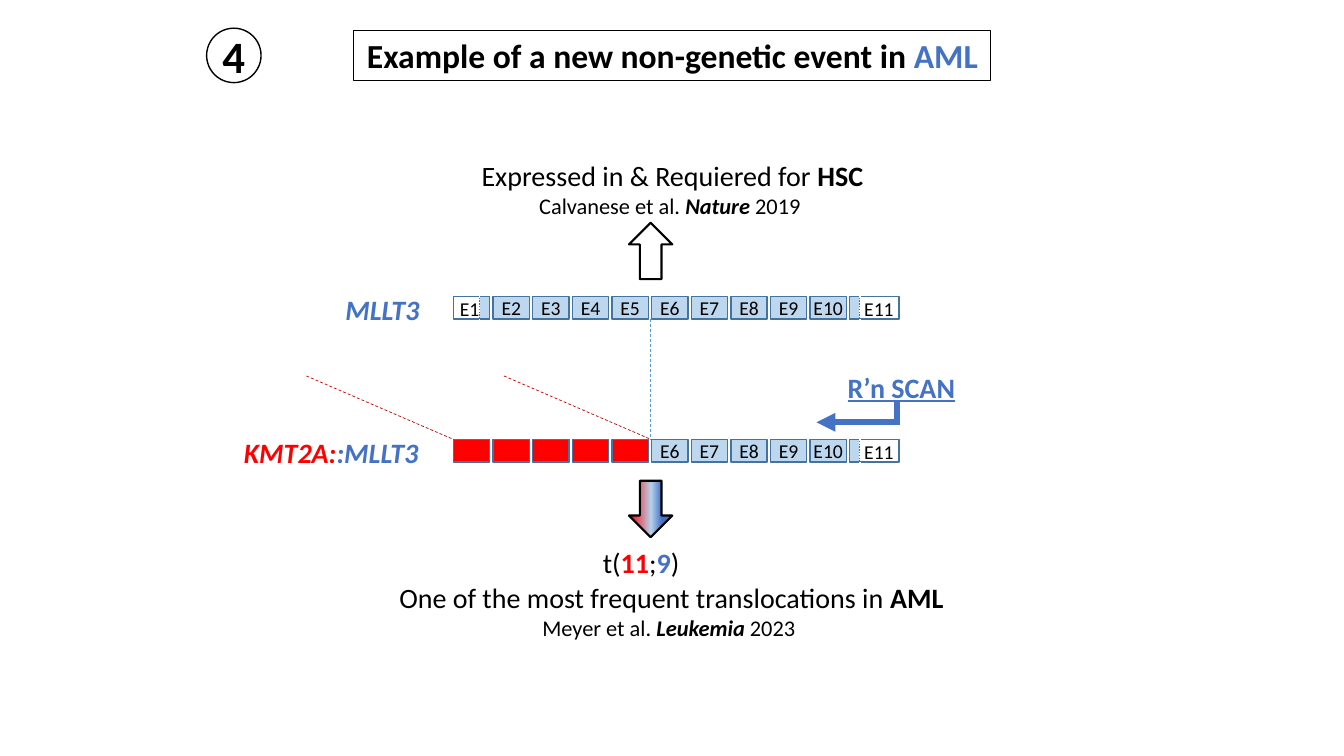
from lxml import etree
from pptx import Presentation
from pptx.dml.color import RGBColor
from pptx.enum.dml import MSO_LINE
from pptx.enum.shapes import MSO_CONNECTOR, MSO_SHAPE
from pptx.enum.text import MSO_ANCHOR, MSO_AUTO_SIZE, PP_ALIGN
from pptx.oxml.ns import qn
from pptx.util import Inches, Pt

BLACK = RGBColor(0x00, 0x00, 0x00)
WHITE = RGBColor(0xFF, 0xFF, 0xFF)
RED = RGBColor(0xFF, 0x00, 0x00)
DARK_RED = RGBColor(0xC0, 0x00, 0x00)
BLUE = RGBColor(0x44, 0x72, 0xC4)
EXON_BLUE = RGBColor(0xBD, 0xD7, 0xEE)
EXON_LINE = RGBColor(0x43, 0x73, 0x9E)
GUIDE_BLUE = RGBColor(0x5B, 0x9B, 0xD5)
FADE_BLUE = RGBColor(0xB5, 0xD2, 0xEC)

RECTANGLE, ELLIPSE = MSO_SHAPE.RECTANGLE, MSO_SHAPE.OVAL
UP_ARROW, DOWN_ARROW = MSO_SHAPE.UP_ARROW, MSO_SHAPE.DOWN_ARROW
STRAIGHT = MSO_CONNECTOR.STRAIGHT
LEFT, CENTER, RIGHT = PP_ALIGN.LEFT, PP_ALIGN.CENTER, PP_ALIGN.RIGHT
MIDDLE, FIXED_SIZE = MSO_ANCHOR.MIDDLE, MSO_AUTO_SIZE.NONE
DASH, DOT = MSO_LINE.DASH, MSO_LINE.ROUND_DOT

# Ten columns and ten rows to the inch; all lengths below are in this grid
COLUMNS, ROWS = 133.33, 75
CELL = Inches(0.1)

# Exon track
TRACK_LEFT, EXON_PITCH = 45, 3.93
EXON_WIDTH, LAST_EXON_WIDTH, EXON_HEIGHT = 3.6, 4.9, 2.25
STRIP_WIDTH = 1
GENE_TOP, FUSION_TOP = 29.4, 43.6
FIRST_EXON, BREAK_EXON, LAST_EXON = 1, 6, 11


def grid(*lengths):
    return [round(length * CELL) for length in lengths]


def exon_left(number):
    return TRACK_LEFT + (number - 1) * EXON_PITCH


class SlideBuilder:
    font_name = "Calibri"

    def __init__(self, slide):
        self.slide = slide

    def fill_text(self, shape, lines, align=CENTER, wrap=False, inset=None):
        """Each line is (size, runs); each run is (text, colour, style letters)."""
        frame = shape.text_frame
        frame.word_wrap = wrap
        frame.auto_size = FIXED_SIZE
        frame.vertical_anchor = MIDDLE
        if inset is not None:
            frame.margin_left = frame.margin_right = inset
            frame.margin_top = frame.margin_bottom = inset
        for index, (size, runs) in enumerate(lines):
            paragraph = frame.add_paragraph() if index else frame.paragraphs[0]
            paragraph.alignment = align
            paragraph.line_spacing = 1.0
            paragraph.font.name = self.font_name
            paragraph.font.size = Pt(size)
            for text, color, style in runs:
                run = paragraph.add_run()
                run.text = text
                run.font.color.rgb = color
                run.font.bold = "b" in style
                run.font.italic = "i" in style
                run.font.underline = "u" in style

    def title(self, box, size, runs):
        title = self.slide.shapes.title
        title.left, title.top, title.width, title.height = grid(*box)
        title.line.color.rgb = BLACK
        title.line.width = Pt(0.75)
        self.fill_text(title, [(size, runs)])

    def text(self, box, lines, align=CENTER, wrap=True):
        self.fill_text(self.slide.shapes.add_textbox(*grid(*box)), lines, align, wrap)

    def shape(self, kind, box, fill=None, line=BLACK, width=1.0):
        shape = self.slide.shapes.add_shape(kind, *grid(*box))
        shape.shadow.inherit = False
        if fill is None:
            shape.fill.background()
        else:
            shape.fill.solid()
            shape.fill.fore_color.rgb = fill
        shape.line.color.rgb = line
        shape.line.width = Pt(width)
        return shape

    def line(self, start, end, color, width, dash=None, arrow=False):
        connector = self.slide.shapes.add_connector(STRAIGHT, *grid(*start, *end))
        connector.line.color.rgb = color
        connector.line.width = Pt(width)
        if dash is not None:
            connector.line.dash_style = dash
        properties = connector.element.spPr
        if arrow:
            outline = properties.find(qn("a:ln"))
            etree.SubElement(outline, qn("a:tailEnd"), type="triangle")
        etree.SubElement(properties, qn("a:effectLst"))

    def gradient(self, shape, stops, angle):
        shape.fill.gradient()
        shape.fill.gradient_angle = angle
        stop_list = next(shape.element.iter(qn("a:gsLst")))
        for old_stop in list(stop_list):
            stop_list.remove(old_stop)
        for percent, color in stops:
            stop = etree.SubElement(stop_list, qn("a:gs"), pos=str(percent * 1000))
            etree.SubElement(stop, qn("a:srgbClr"), val=str(color))

    def exon(self, number, top, fill=EXON_BLUE, named=True):
        shape = self.shape(RECTANGLE, (exon_left(number), top, EXON_WIDTH, EXON_HEIGHT),
                           fill, EXON_LINE)
        if named:
            self.fill_text(shape, [(14, [(f"E{number}", BLACK, "")])], inset=0)

    def end_exon(self, number, top, width, strip_left, edge, label_center):
        """White exon with a coded strip whose inner edge is dotted."""
        bottom = top + EXON_HEIGHT
        self.shape(RECTANGLE, (exon_left(number), top, width, EXON_HEIGHT),
                   WHITE, EXON_LINE)
        self.shape(RECTANGLE, (strip_left, top, STRIP_WIDTH, EXON_HEIGHT),
                   EXON_BLUE, EXON_LINE)
        self.line((edge, top), (edge, bottom), WHITE, 1, DOT)
        self.text((label_center - 2.5, top - 0.5, 5, 3.4),
                  [(14, [(f"E{number}", BLACK, "")])], wrap=False)

    def last_exon(self, top):
        left = exon_left(LAST_EXON)
        self.end_exon(LAST_EXON, top, LAST_EXON_WIDTH, left, left + STRIP_WIDTH,
                      left + 2.9)


def build(builder):
    # Heading
    builder.title((35.1, 3, 63.2, 5), 24, [
        ("Example of a new non-genetic event in ", BLACK, "b"), ("AML", BLUE, "b")])
    badge = builder.shape(ELLIPSE, (20.5, 2.8, 5.4, 5.4))
    builder.fill_text(badge, [(32, [("4", BLACK, "b")])], inset=0)

    # Normal gene
    builder.text((33.3, 15.2, 66.8, 7.1), [
        (20, [("Expressed in & Requiered for ", BLACK, ""), ("HSC", BLACK, "b")]),
        (16, [("Calvanese et al. ", BLACK, ""), ("Nature", BLACK, "bi"),
              (" 2019 ", BLACK, "")])])
    builder.shape(UP_ARROW, (62.4, 22.1, 4.3, 5.6), WHITE, width=1.5)
    builder.text((31.9, 28.5, 10.7, 4.4), [(20, [("MLLT3", BLUE, "bi")])], RIGHT)
    strip_left = TRACK_LEFT + EXON_WIDTH - STRIP_WIDTH
    builder.end_exon(FIRST_EXON, GENE_TOP, EXON_WIDTH, strip_left, strip_left, 46.6)
    for number in range(FIRST_EXON + 1, LAST_EXON):
        builder.exon(number, GENE_TOP)
    builder.last_exon(GENE_TOP)

    # Fusion gene
    builder.text((22.7, 42.7, 19.8, 4.4), [
        (20, [("KMT2A:", RED, "bi"), (":MLLT3", BLUE, "bi")])], RIGHT)
    for number in range(FIRST_EXON, LAST_EXON):
        fused = number < BREAK_EXON
        builder.exon(number, FUSION_TOP, RED if fused else EXON_BLUE, not fused)
    builder.last_exon(FUSION_TOP)

    # Breakpoint guides
    for left in (30.4, 50):
        builder.line((left, 37.3), (left + 14.6, FUSION_TOP), DARK_RED, 0.5, DASH)
    builder.line((64.5, GENE_TOP + EXON_HEIGHT), (64.5, FUSION_TOP),
                 GUIDE_BLUE, 0.5, DASH)

    # Scan direction
    builder.text((83.1, 36.2, 12.8, 4.4), [(20, [("R’n SCAN", BLUE, "bu")])],
                 LEFT, wrap=False)
    builder.line((89.2, 41.9), (81, 41.9), BLUE, 4.5, arrow=True)
    builder.line((89, 39.7), (89, 42.2), BLUE, 4.5)

    # Translocation
    arrow = builder.shape(DOWN_ARROW, (62.4, 47.7, 4.3, 5.6), width=1.5)
    builder.gradient(arrow, [(24, BLUE), (49, FADE_BLUE), (100, RED)], 180)
    builder.text((24.5, 53.6, 78.2, 4.4), [
        (20, [("t(", BLACK, ""), ("11", RED, "b"), (";", BLACK, ""),
              ("9", BLUE, "b"), (")", BLACK, "")])])
    builder.text((27.5, 57, 78.2, 7.1), [
        (20, [("One of the most frequent translocations in ", BLACK, ""),
              ("AML", BLACK, "b")]),
        (16, [("Meyer et al. ", BLACK, ""), ("Leukemia", BLACK, "bi"),
              (" 2023 ", BLACK, "")])])


def main():
    presentation = Presentation()
    presentation.slide_width, presentation.slide_height = grid(COLUMNS, ROWS)
    title_only = presentation.slide_layouts[5]
    build(SlideBuilder(presentation.slides.add_slide(title_only)))
    presentation.save("out.pptx")


if __name__ == "__main__":
    main()
